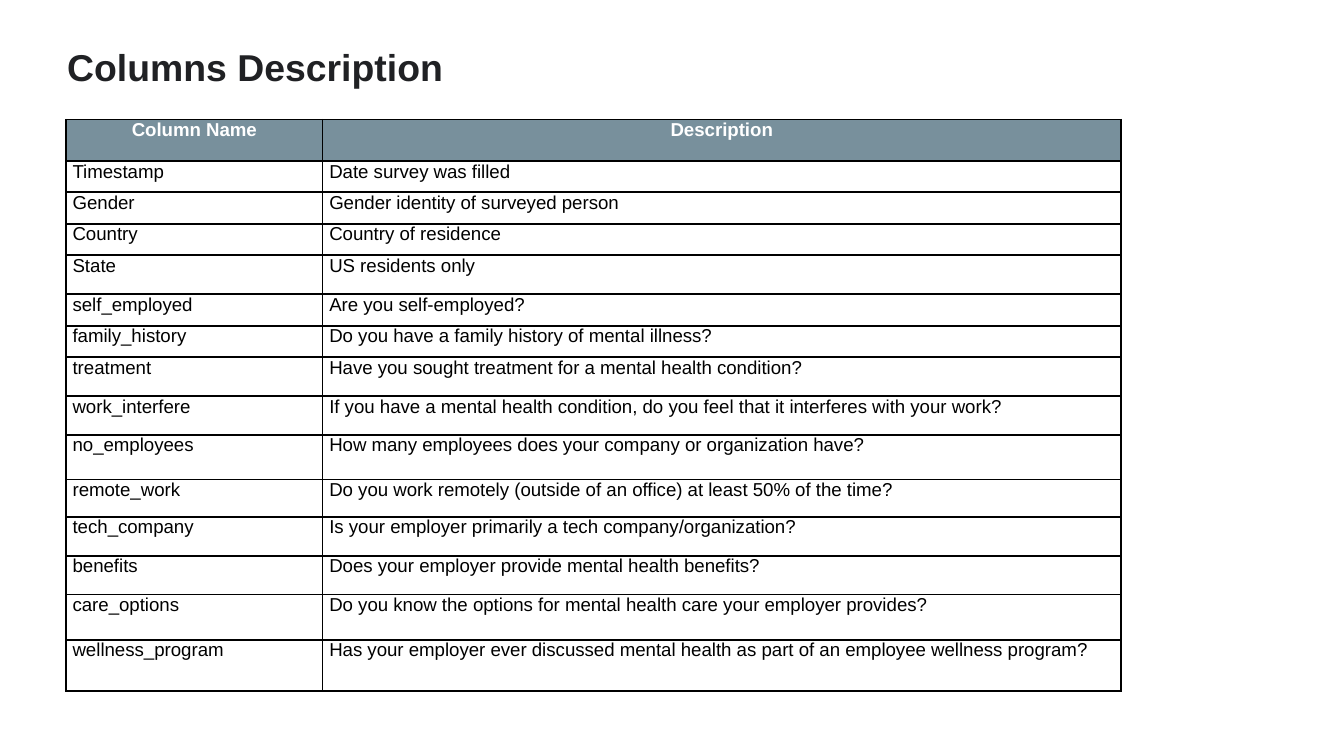
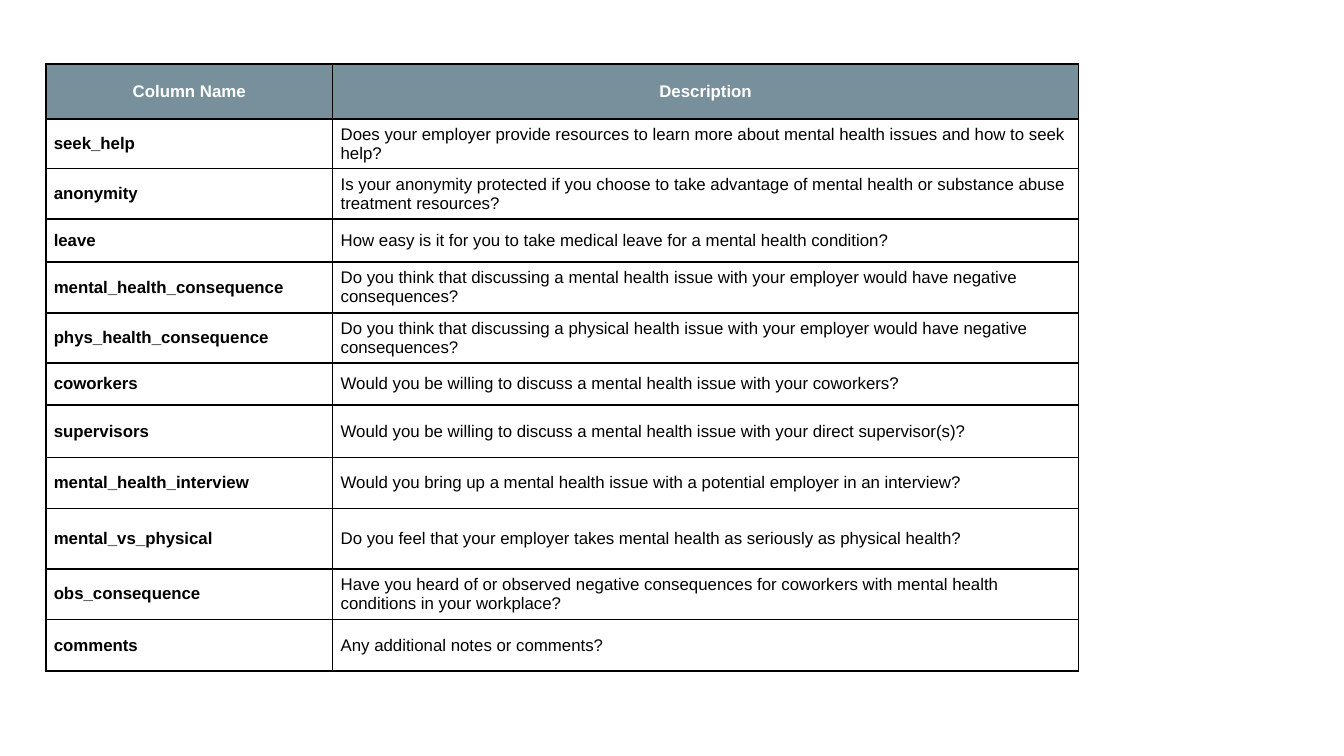
from dataclasses import dataclass

from lxml.etree import SubElement
from pptx import Presentation
from pptx.dml.color import RGBColor
from pptx.enum.text import MSO_ANCHOR, MSO_AUTO_SIZE, PP_ALIGN
from pptx.oxml.ns import qn
from pptx.slide import Slide
from pptx.table import _Cell
from pptx.text.text import TextFrame
from pptx.util import Pt

SCALE = 4572


@dataclass(frozen=True)
class Theme:
    font: str = "Arial"
    ink: str = "202124"
    black: str = "000000"
    white: str = "FFFFFF"
    band: str = "78909C"
    title: int = 20
    large: int = 10
    small: int = 9
    rule: int = 1


@dataclass(frozen=True)
class Row:
    name: str
    text: str
    height: int


@dataclass(frozen=True)
class Grid:
    left: int
    top: int
    widths: tuple[int, int]
    head: int
    rows: tuple[Row, ...]
    size: int
    inset: int
    anchor: MSO_ANCHOR
    bold: bool


THEME = Theme()

FIRST = Grid(
    98, 178, (382, 1188), 62,
    (
        Row("Timestamp", "Date survey was filled", 46),
        Row("Gender", "Gender identity of surveyed person", 47),
        Row("Country", "Country of residence", 47),
        Row("State", "US residents only", 58),
        Row("self_employed", "Are you self-employed?", 47),
        Row("family_history", "Do you have a family history of mental illness?", 47),
        Row("treatment", "Have you sought treatment for a mental health condition?", 58),
        Row("work_interfere", "If you have a mental health condition, do you feel that it "
            "interferes with your work?", 58),
        Row("no_employees", "How many employees does your company or organization have?", 66),
        Row("remote_work", "Do you work remotely (outside of an office) at least 50% "
            "of the time?", 56),
        Row("tech_company", "Is your employer primarily a tech company/organization?", 58),
        Row("benefits", "Does your employer provide mental health benefits?", 57),
        Row("care_options", "Do you know the options for mental health care your "
            "employer provides?", 68),
        Row("wellness_program", "Has your employer ever discussed mental health as part "
            "of an employee wellness program?", 76),
    ),
    THEME.large, 10, MSO_ANCHOR.TOP, False,
)

SECOND = Grid(
    68, 95, (427, 1110), 82,
    (
        Row("seek_help", "Does your employer provide resources to learn more about "
            "mental health issues and how to seek help?", 74),
        Row("anonymity", "Is your anonymity protected if you choose to take advantage "
            "of mental health or substance abuse treatment resources?", 75),
        Row("leave", "How easy is it for you to take medical leave for a mental "
            "health condition?", 64),
        Row("mental_health_consequence", "Do you think that discussing a mental health "
            "issue with your employer would have negative consequences?", 76),
        Row("phys_health_consequence", "Do you think that discussing a physical health "
            "issue with your employer would have negative consequences?", 74),
        Row("coworkers", "Would you be willing to discuss a mental health issue with "
            "your coworkers?", 63),
        Row("supervisors", "Would you be willing to discuss a mental health issue with "
            "your direct supervisor(s)?", 78),
        Row("mental_health_interview", "Would you bring up a mental health issue with a "
            "potential employer in an interview?", 76),
        Row("mental_vs_physical", "Do you feel that your employer takes mental health "
            "as seriously as physical health?", 90),
        Row("obs_consequence", "Have you heard of or observed negative consequences for "
            "coworkers with mental health conditions in your workplace?", 75),
        Row("comments", "Any additional notes or comments?", 77),
    ),
    THEME.small, 12, MSO_ANCHOR.MIDDLE, True,
)


def px(count: int) -> int:
    return count * SCALE


def write(frame: TextFrame, text: str, size: int, hue: str, bold: bool,
          align: PP_ALIGN = PP_ALIGN.LEFT) -> None:
    frame.text = text
    line = frame.paragraphs[0]
    line.alignment = align
    font = line.runs[0].font
    font.name = THEME.font
    font.size = Pt(size)
    font.bold = bold
    font.color.rgb = RGBColor.from_string(hue)


def border(cell: _Cell) -> None:
    props = cell._tc.get_or_add_tcPr()
    for side in ("lnL", "lnR", "lnT", "lnB"):
        edge = SubElement(props, qn(f"a:{side}"), w=str(Pt(THEME.rule)))
        fill = SubElement(edge, qn("a:solidFill"))
        SubElement(fill, qn("a:srgbClr"), val=THEME.black)


def draw_title(slide: Slide, text: str) -> None:
    title = slide.shapes.title
    title.left, title.top, title.width, title.height = map(px, (80, 4, 1588, 242))
    frame = title.text_frame
    frame.word_wrap = True
    frame.auto_size = MSO_AUTO_SIZE.NONE
    frame.vertical_anchor = MSO_ANCHOR.BOTTOM
    frame.margin_left = frame.margin_right = frame.margin_top = px(20)
    frame.margin_bottom = px(113)
    write(frame, text, THEME.title, THEME.ink, True)
    frame.paragraphs[0].line_spacing = 1.33


def draw_grid(slide: Slide, grid: Grid) -> None:
    rows = (Row("Column Name", "Description", grid.head), *grid.rows)
    high = sum(row.height for row in rows)
    table = slide.shapes.add_table(
        len(rows), len(grid.widths), px(grid.left), px(grid.top),
        px(sum(grid.widths)), px(high),
    ).table
    table.horz_banding = False
    for column, width in zip(table.columns, grid.widths):
        column.width = px(width)
    for r, row in enumerate(rows):
        table.rows[r].height = px(row.height)
        head = r == 0
        for c, text in enumerate((row.name, row.text)):
            cell = table.cell(r, c)
            border(cell)
            cell.fill.solid()
            cell.fill.fore_color.rgb = RGBColor.from_string(
                THEME.band if head else THEME.white)
            cell.margin_left = cell.margin_right = px(grid.inset)
            cell.margin_top = cell.margin_bottom = 0
            cell.vertical_anchor = grid.anchor
            write(cell.text_frame, text, grid.size,
                  THEME.white if head else THEME.black,
                  head or (grid.bold and c == 0),
                  PP_ALIGN.CENTER if head else PP_ALIGN.LEFT)


def main() -> None:
    deck = Presentation()
    deck.slide_width, deck.slide_height = px(2000), px(1125)
    titled, blank = deck.slide_layouts[5], deck.slide_layouts[6]
    slide = deck.slides.add_slide(titled)
    draw_title(slide, "Columns Description")
    draw_grid(slide, FIRST)
    draw_grid(deck.slides.add_slide(blank), SECOND)
    deck.save("out.pptx")


if __name__ == "__main__":
    main()
